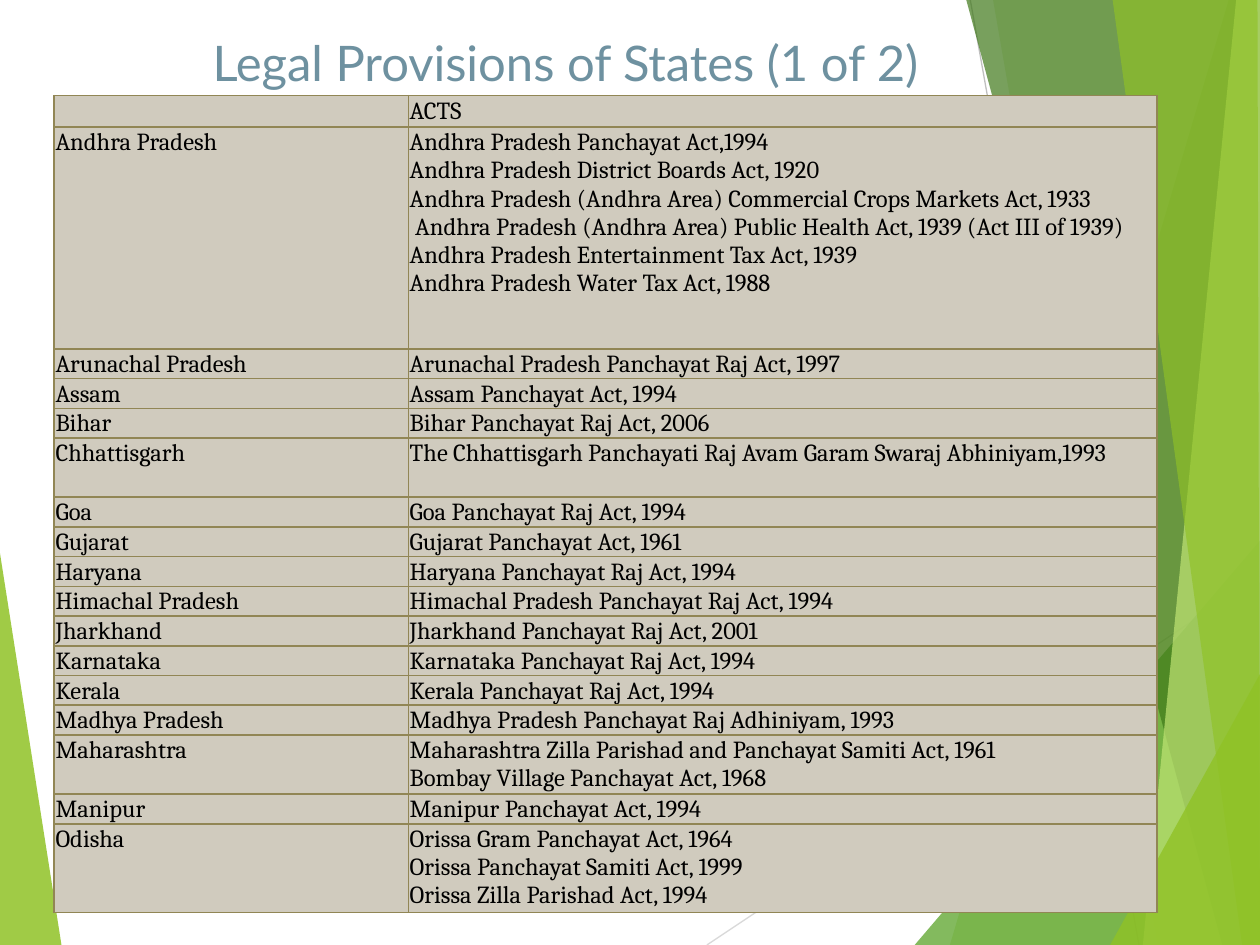
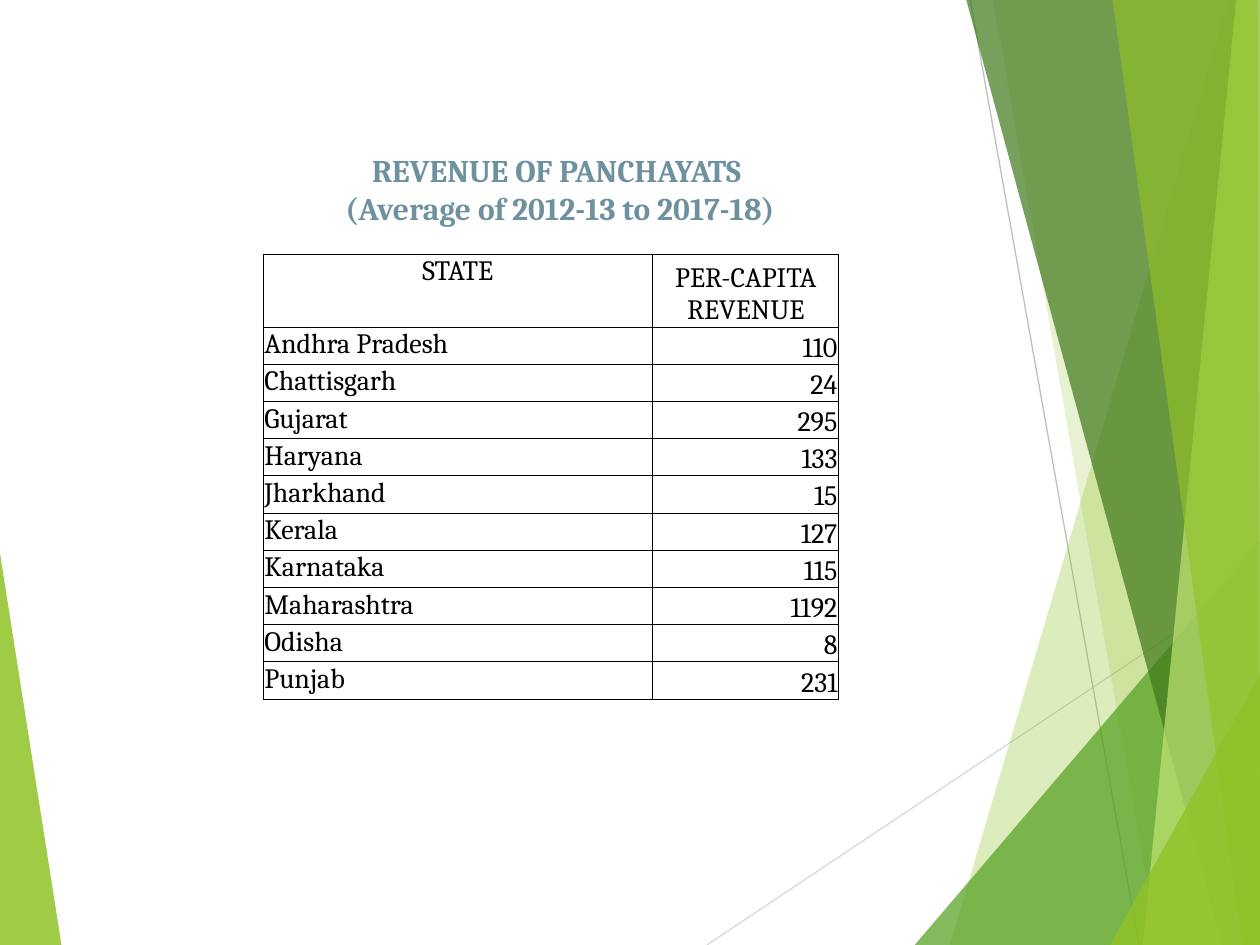
from lxml.etree import SubElement
from pptx import Presentation
from pptx.dml.color import RGBColor
from pptx.enum.shapes import MSO_CONNECTOR
from pptx.enum.text import MSO_ANCHOR as Anchor, PP_ALIGN as Align
from pptx.oxml.ns import qn
from pptx.util import Cm, Pt

PAGE_W, PAGE_H = 25.4, 19.05
BODY_FONT, TITLE_FONT = "Cambria", "Lato"
TITLE_COLOR, TEXT_COLOR = "6E91A0", "000000"
LIME, GREEN, FOREST, PALE = "90C226", "54A021", "3F7819", "C0E474"

# Decoration in cm, back to front: colour, opacity in percent, corners
LEFT_WEDGE = (LIME, 85, [(0, 11.15), (1.24, PAGE_H), (0, PAGE_H)])
THIN_LINES = [
    ("D9D9D9", (14.25, PAGE_H), (PAGE_W, 11.61)),
    ("BFBFBF", (19.56, 0), (22.96, PAGE_H)),
]
RIGHT_FACETS = [
    (LIME, 30, [(24.77, 0), (19.15, PAGE_H), (PAGE_W, PAGE_H), (PAGE_W, 0)]),
    (LIME, 20, [(20.02, 0), (23.34, PAGE_H), (PAGE_W, PAGE_H), (PAGE_W, 0)]),
    (GREEN, 72, [(18.44, PAGE_H), (PAGE_W, 10.9), (PAGE_W, PAGE_H)]),
    (FOREST, 70, [(19.48, 0), (24.64, PAGE_H), (PAGE_W, PAGE_H), (PAGE_W, 0)]),
    (PALE, 70, [(24.92, 0), (23.04, PAGE_H), (PAGE_W, PAGE_H), (PAGE_W, 0)]),
    (LIME, 65, [(22.43, 0), (25.04, PAGE_H), (PAGE_W, PAGE_H), (25.35, 0)]),
    (LIME, 80, [(22.38, PAGE_H), (PAGE_W, 13.59), (PAGE_W, PAGE_H)]),
]

# State, its acts, row height in text lines
STATE_ACTS = [
    ("", ["ACTS"], 1),
    ("Andhra Pradesh", [
        "Andhra Pradesh Panchayat Act,1994",
        "Andhra Pradesh District Boards Act, 1920",
        "Andhra Pradesh (Andhra Area) Commercial Crops Markets Act, 1933",
        " Andhra Pradesh (Andhra Area) Public Health Act, 1939 (Act III of 1939)",
        "Andhra Pradesh Entertainment Tax Act, 1939",
        "Andhra Pradesh Water Tax Act, 1988"], 7.5),
    ("Arunachal Pradesh", ["Arunachal Pradesh Panchayat Raj Act, 1997"], 1),
    ("Assam", ["Assam Panchayat Act, 1994"], 1),
    ("Bihar", ["Bihar Panchayat Raj Act, 2006"], 1),
    ("Chhattisgarh",
     ["The Chhattisgarh Panchayati Raj Avam Garam Swaraj Abhiniyam,1993"], 2),
    ("Goa", ["Goa Panchayat Raj Act, 1994"], 1),
    ("Gujarat", ["Gujarat Panchayat Act, 1961"], 1),
    ("Haryana", ["Haryana Panchayat Raj Act, 1994"], 1),
    ("Himachal Pradesh", ["Himachal Pradesh Panchayat Raj Act, 1994"], 1),
    ("Jharkhand", ["Jharkhand Panchayat Raj Act, 2001"], 1),
    ("Karnataka", ["Karnataka Panchayat Raj Act, 1994"], 1),
    ("Kerala", ["Kerala Panchayat Raj Act, 1994"], 1),
    ("Madhya Pradesh", ["Madhya Pradesh Panchayat Raj Adhiniyam, 1993"], 1),
    ("Maharashtra", ["Maharashtra Zilla Parishad and Panchayat Samiti Act, 1961",
                     "Bombay Village Panchayat Act, 1968"], 2),
    ("Manipur", ["Manipur Panchayat Act, 1994"], 1),
    ("Odisha", ["Orissa Gram Panchayat Act, 1964",
                "Orissa Panchayat Samiti Act, 1999",
                "Orissa Zilla Parishad Act, 1994"], 3),
]
ACTS_HEIGHT = 16.4

REVENUE_HEADER = ("STATE", "PER-CAPITA REVENUE")
REVENUES = [
    ("Andhra Pradesh", 110), ("Chattisgarh", 24), ("Gujarat", 295),
    ("Haryana", 133), ("Jharkhand", 15), ("Kerala", 127),
    ("Karnataka", 115), ("Maharashtra", 1192), ("Odisha", 8), ("Punjab", 231),
]


def rgb(color):
    return RGBColor.from_string(color)


def add_facet(slide, color, opacity, corners):
    start, *rest = [(Cm(x), Cm(y)) for x, y in corners]
    builder = slide.shapes.build_freeform(*start)
    builder.add_line_segments(rest, close=True)
    facet = builder.convert_to_shape()
    facet.shadow.inherit = False
    facet.line.fill.background()
    facet.fill.solid()
    facet.fill.fore_color.rgb = rgb(color)
    tint = facet.fill._xPr.find(qn("a:solidFill"))[0]
    SubElement(tint, qn("a:alpha"), val=str(opacity * 1000))


def add_decorated_slide(deck):
    slide = deck.slides.add_slide(deck.slide_layouts[6])
    add_facet(slide, *LEFT_WEDGE)
    for color, start, end in THIN_LINES:
        line = slide.shapes.add_connector(
            MSO_CONNECTOR.STRAIGHT, *[Cm(n) for n in start + end])
        line.line.color.rgb = rgb(color)
        line.line.width = Pt(0.75)
        SubElement(line._element.spPr, qn("a:effectLst"))
    for facet in RIGHT_FACETS:
        add_facet(slide, *facet)
    return slide


def write(frame, lines, size, color, font=BODY_FONT, align=Align.LEFT, bold=False):
    for number, text in enumerate(lines):
        paragraph = frame.add_paragraph() if number else frame.paragraphs[0]
        paragraph.alignment = align
        if not text:  # keeps an empty cell as low as its row
            SubElement(paragraph._p, qn("a:endParaRPr"), sz=str(size * 100))
            continue
        run = paragraph.add_run()
        run.text = text
        run.font.name, run.font.size, run.font.bold = font, Pt(size), bold
        run.font.color.rgb = rgb(color)


def add_title(slide, box, lines, size, font, bold=False):
    frame = slide.shapes.add_textbox(*[Cm(n) for n in box]).text_frame
    frame.word_wrap = True
    write(frame, lines, size, TITLE_COLOR, font, Align.CENTER, bold)


def add_grid(slide, left, top, widths, heights, border, border_pt, fill=None):
    table = slide.shapes.add_table(
        len(heights), len(widths), Cm(left), Cm(top),
        Cm(sum(widths)), Cm(sum(heights))).table
    table.first_row = table.horz_banding = False
    for column, width in zip(table.columns, widths):
        column.width = Cm(width)
    for row, height in zip(table.rows, heights):
        row.height = Cm(height)
    for cell in table.iter_cells():
        cell.margin_left = cell.margin_right = cell.margin_top = Cm(0.03)
        cell.margin_bottom = 0
        for side in ("lnL", "lnR", "lnT", "lnB"):
            edge = SubElement(cell._tc.get_or_add_tcPr(), qn("a:" + side),
                              w=str(Pt(border_pt)))
            SubElement(SubElement(edge, qn("a:solidFill")),
                       qn("a:srgbClr"), val=border)
        if fill:
            cell.fill.solid()
            cell.fill.fore_color.rgb = rgb(fill)
        else:
            cell.fill.background()
    return table


def build_acts(deck):
    slide = add_decorated_slide(deck)
    line_height = ACTS_HEIGHT / sum(lines for _, _, lines in STATE_ACTS)
    table = add_grid(slide, 1.09, 1.93, [7.14, 15.09],
                     [lines * line_height for _, _, lines in STATE_ACTS],
                     "918655", 1, "D0CBBE")
    for row, (state, acts, _) in enumerate(STATE_ACTS):
        write(table.cell(row, 0).text_frame, [state], 14, TEXT_COLOR)
        write(table.cell(row, 1).text_frame, acts, 14, TEXT_COLOR)
    add_title(slide, (3.3, 0.53, 16.2, 1.45),
              ["Legal Provisions of States (1 of 2)"], 28, TITLE_FONT)


def build_revenue(deck):
    slide = add_decorated_slide(deck)
    table = add_grid(slide, 5.3, 5.12, [7.86, 3.75],
                     [1.47] + [0.75] * len(REVENUES), TEXT_COLOR, 0.5)
    for row, values in enumerate([REVENUE_HEADER] + REVENUES):
        aligns = (Align.LEFT, Align.RIGHT) if row else (Align.CENTER,) * 2
        for column, (value, align) in enumerate(zip(values, aligns)):
            cell = table.cell(row, column)
            cell.vertical_anchor = Anchor.BOTTOM if column else Anchor.TOP
            write(cell.text_frame, [str(value)], 16, TEXT_COLOR, align=align)
    add_title(slide, (4.09, 2.92, 14.4, 1.8),
              ["REVENUE OF PANCHAYATS ", "(Average of 2012-13 to 2017-18)"],
              18, BODY_FONT, bold=True)


def main():
    deck = Presentation()
    deck.slide_width, deck.slide_height = Cm(PAGE_W), Cm(PAGE_H)
    build_acts(deck)
    build_revenue(deck)
    deck.save("out.pptx")


if __name__ == "__main__":
    main()
